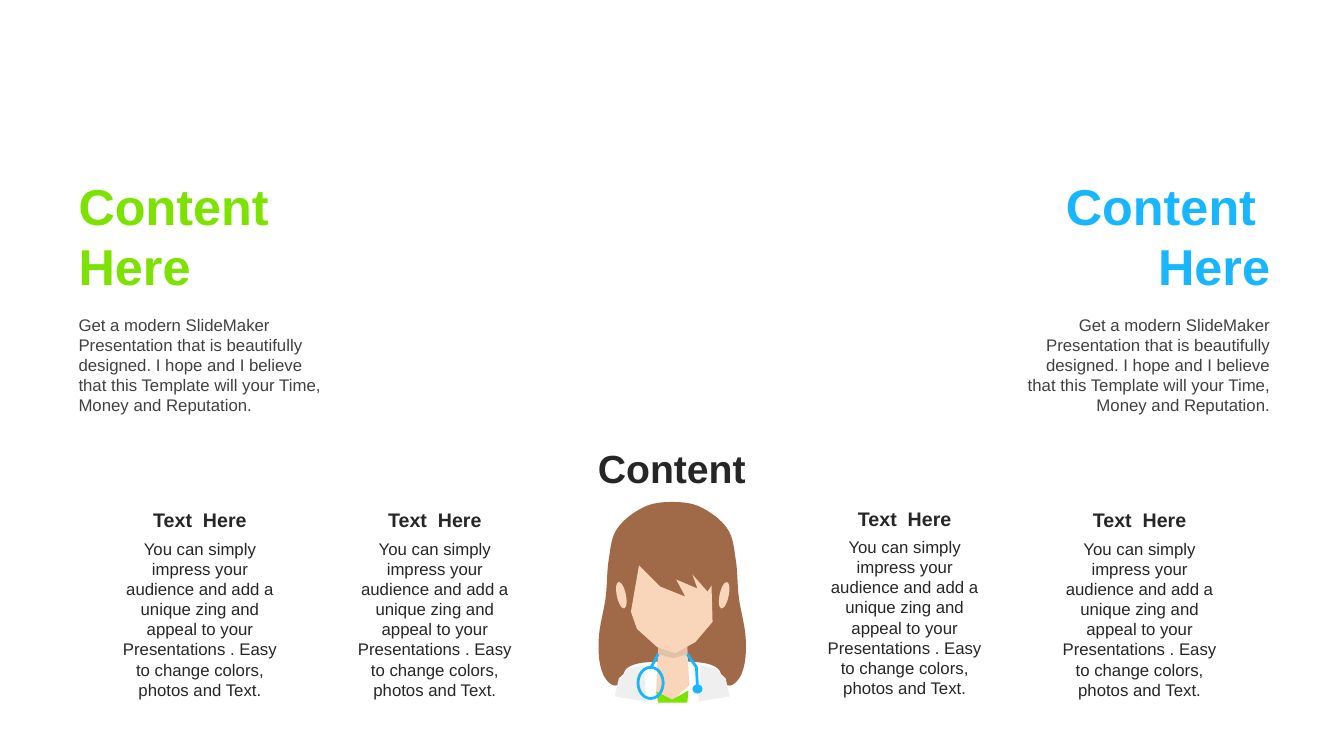
"""Build a content slide with two side messages, four captions and a doctor figure."""
from math import hypot

from lxml import etree
from pptx import Presentation
from pptx.dml.color import RGBColor
from pptx.enum.shapes import MSO_CONNECTOR, MSO_SHAPE
from pptx.enum.text import MSO_ANCHOR, MSO_AUTO_SIZE, PP_ALIGN
from pptx.oxml.ns import qn
from pptx.util import Cm, Pt

LEFT, CENTER, RIGHT = PP_ALIGN.LEFT, PP_ALIGN.CENTER, PP_ALIGN.RIGHT
TOP, MIDDLE = MSO_ANCHOR.TOP, MSO_ANCHOR.MIDDLE
OVAL, STRAIGHT = MSO_SHAPE.OVAL, MSO_CONNECTOR.STRAIGHT
FONT = "Arial"
COLORS = {
    "green": "7CE200", "blue": "17B6FF", "gray": "404040", "dark": "262626",
    "hair": "A06A49", "skin": "F9D6BA", "shade": "E2C2A7", "coat": "EFEFEF",
}

TITLE = "Content"
SIDE_HEADING = "Content  Here"
SIDE_TEXT = ("Get a modern SlideMaker Presentation that is beautifully designed. "
             "I hope and I believe that this Template will your Time, "
             "Money and Reputation.")
SIDES = [(1.73, "green", LEFT), (25.43, "blue", RIGHT)]
CAPTION_HEADING = "Text  Here"
CAPTION_TEXT = ("You can simply impress your audience and add a unique zing and "
                "appeal to your Presentations . Easy to change colors, "
                "photos and Text.")
CAPTION_STEP = 5.92
CAPTIONS = [(2.79, 12.67), (2.79 + CAPTION_STEP, 12.67),
            (20.55, 12.63), (20.55 + CAPTION_STEP, 12.67)]

UNIT = 0.0254
AXIS = 667
HALF_HAIR = [(667, 498), (695, 503), (722, 525), (730, 555), (733, 592),
             (740, 635), (736, 668), (722, 680), (712, 663), (692, 657)]
COAT = [(614, 673), (625, 663), (639, 660), (641, 696), (610, 691)]
FACE = [(634, 561), (655, 582), (680, 592), (671, 575), (692, 584), (687, 570),
        (702, 587), (706, 581), (707, 617), (690, 637), (670, 648), (652, 642),
        (632, 624), (626, 607)]
NECK = [(653, 645), (682, 645), (684, 680), (667, 695), (651, 687)]
SHADE = [(653, 640), (682, 640), (682, 649), (668, 653), (653, 649)]
SHIRT = [(651, 686), (667, 694), (683, 685), (682, 697), (653, 697)]
EARS = [(612, -12), (714, 12)]
TUBES = [(653, 649, 646, 662), (682, 649, 691, 662), (691, 662, 692, 682)]


def color(name):
    return RGBColor.from_string(COLORS[name])


def unit(value):
    return Cm(UNIT * value)


def set_text(sp, text, size, name, align, anchor=TOP, bold=False):
    tf = sp.text_frame
    tf.text = text
    tf.word_wrap = True
    tf.auto_size = MSO_AUTO_SIZE.NONE
    tf.vertical_anchor = anchor
    p = tf.paragraphs[0]
    p.alignment = align
    r = p.runs[0]
    r.font.name, r.font.size, r.font.bold = FONT, Pt(size), bold
    r.font.color.rgb = color(name)


def add_text(s, box, *style, **options):
    set_text(s.shapes.add_textbox(*map(Cm, box)), *style, **options)


def paint(sp, name):
    sp.shadow.inherit = False
    sp.fill.solid()
    sp.fill.fore_color.rgb = color(name)
    sp.line.fill.background()


def mirror(points):
    return [(2 * AXIS - x, y) for x, y in reversed(points)]


def tangent(points, i):
    (x0, y0), (x1, y1) = points[i - 1], points[(i + 1) % len(points)]
    length = hypot(x1 - x0, y1 - y0)
    return (x1 - x0) / length, (y1 - y0) / length


def smooth(points, steps=8):
    curve = []
    for i, a in enumerate(points):
        j = (i + 1) % len(points)
        b = points[j]
        reach = hypot(b[0] - a[0], b[1] - a[1]) / 3
        ta, tb = tangent(points, i), tangent(points, j)
        for t in (k / steps for k in range(steps)):
            u = 1 - t
            curve.append(tuple(
                u ** 3 * a[d] + 3 * u * u * t * (a[d] + reach * ta[d])
                + 3 * u * t * t * (b[d] - reach * tb[d]) + t ** 3 * b[d]
                for d in (0, 1)))
    return curve


def add_outline(group, points, name):
    corners = [(unit(x), unit(y)) for x, y in points]
    builder = group.shapes.build_freeform(*corners[0])
    builder.add_line_segments(corners[1:], close=True)
    paint(builder.convert_to_shape(), name)


def add_oval(group, box, name):
    sp = group.shapes.add_shape(OVAL, *map(unit, box))
    paint(sp, name)
    return sp


def set_tube(line):
    line.color.rgb = color("blue")
    line.width = Pt(2)


def add_figure(s):
    group = s.shapes.add_group_shape()
    hair = HALF_HAIR + mirror(HALF_HAIR[1:])
    for points, name in [(smooth(hair), "hair"), (NECK, "skin"), (COAT, "coat"),
                         (mirror(COAT), "coat"), (SHIRT, "green"),
                         (SHADE, "shade"), (FACE, "skin")]:
        add_outline(group, points, name)
    for x, angle in EARS:
        add_oval(group, (x, 577, 9, 27), "skin").rotation = angle
    loop = add_oval(group, (633, 662, 25, 31), "blue")
    loop.fill.background()
    set_tube(loop.line)
    for ends in TUBES:
        tube = group.shapes.add_connector(STRAIGHT, *map(unit, ends))
        set_tube(tube.line)
        etree.SubElement(tube._element.spPr, qn("a:effectLst"))
    add_oval(group, (687, 679, 10, 9), "blue")


def main():
    prs = Presentation()
    prs.slide_width, prs.slide_height = Cm(33.87), Cm(19.05)
    s = prs.slides.add_slide(prs.slide_layouts[5])

    title = s.shapes.title
    title.left, title.top, title.width, title.height = map(Cm, (14.07, 11.07, 5.72, 1.45))
    set_text(title, TITLE, 28, "dark", CENTER, MIDDLE, bold=True)

    for x, name, align in SIDES:
        add_text(s, (x, 4.27, 6.83, 3.33), SIDE_HEADING, 36, name, align, MIDDLE, bold=True)
        add_text(s, (x, 7.8, 6.83, 2.82), SIDE_TEXT, 12, "gray", align)
    for x, y in CAPTIONS:
        add_text(s, (x, y, 4.5, 0.86), CAPTION_HEADING, 14, "dark", CENTER, MIDDLE, bold=True)
        add_text(s, (x, y + 0.77, 4.5, 4.37), CAPTION_TEXT, 12, "dark", CENTER)

    add_figure(s)
    prs.save("out.pptx")


if __name__ == "__main__":
    main()
